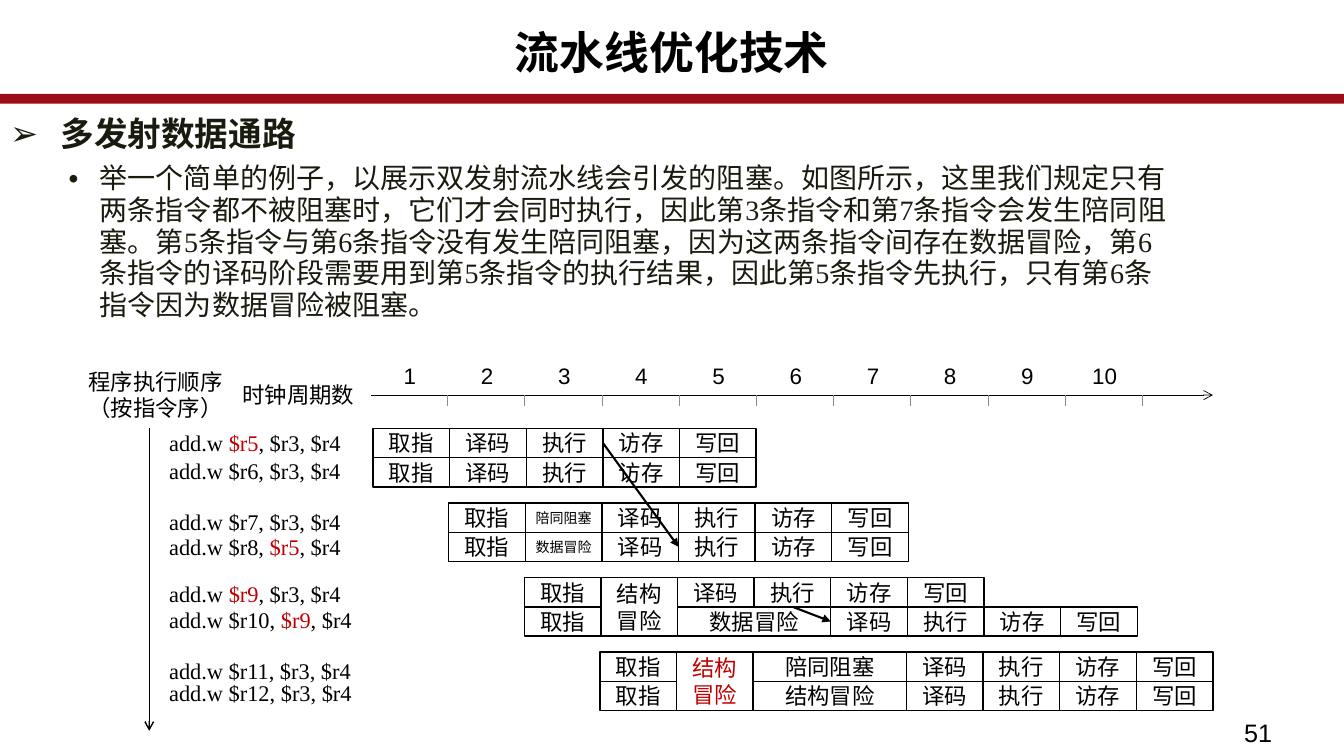
import pptx
import pptx.dml.color
import pptx.enum.shapes
import pptx.enum.text
import pptx.oxml
import pptx.oxml.ns
import pptx.util

BLACK, RED, GREY, DARK, BAR = "000000", "C00000", "8C8D86", "191B0E", "9C0C15"
SANS, SERIF = "Arial", "Times New Roman"
LEFT, CENTER = pptx.enum.text.PP_ALIGN.LEFT, pptx.enum.text.PP_ALIGN.CENTER
TOP, MIDDLE = pptx.enum.text.MSO_ANCHOR.TOP, pptx.enum.text.MSO_ANCHOR.MIDDLE

CYCLE, ROW = 0.76, 0.29
PAIR_LEFT, PAIR_TOP = 3.7, 4.25
PAIR_STEP_X, PAIR_STEP_Y = 0.75, 0.74
AXIS_Y, FIRST_TICK, LAST_TICK, CYCLES = 3.92, 4.44, 11.33, 10

FETCH = "取指"
LATER_STAGES = ("译码", "执行", "访存", "写回")

# Each instruction: label top, label pieces (odd pieces are red), stalls after fetch.
# Each stall: text, columns, rows, size, colour; an empty text leaves the columns free.
INSTRUCTIONS = [
    (4.21, ["add.w ", "$r5", ", $r3, $r4"], []),
    (4.49, ["add.w $r6, $r3, $r4"], []),
    (4.99, ["add.w $r7, $r3, $r4"], [("陪同阻塞", 1, 1, 10, BLACK)]),
    (5.24, ["add.w $r8, ", "$r5", ", $r4"], [("数据冒险", 1, 1, 10, BLACK)]),
    (5.71, ["add.w ", "$r9", ", $r3, $r4"], [("结构冒险", 1, 2, 16, BLACK)]),
    (5.96, ["add.w $r10, ", "$r9", ", $r4"],
     [("", 1, 1, 16, BLACK), ("数据冒险", 2, 1, 16, BLACK)]),
    (6.47, ["add.w $r11, $r3, $r4"],
     [("结构冒险", 1, 2, 16, RED), ("陪同阻塞", 2, 1, 16, BLACK)]),
    (6.69, ["add.w $r12, $r3, $r4"],
     [("", 1, 1, 16, BLACK), ("结构冒险", 2, 1, 16, BLACK)]),
]

TITLE = "流水线优化技术"
HEADING = "多发射数据通路"
EXPLANATION = (
    "举一个简单的例子，以展示双发射流水线会引发的阻塞。如图所示，这里我们规定只有"
    "两条指令都不被阻塞时，它们才会同时执行，因此第3条指令和第7条指令会发生陪同阻塞。"
    "第5条指令与第6条指令没有发生陪同阻塞，因为这两条指令间存在数据冒险，"
    "第6条指令的译码阶段需要用到第5条指令的执行结果，因此第5条指令先执行，"
    "只有第6条指令因为数据冒险被阻塞。"
)


def color(hex_code):
    """Turn a hex string into a colour."""
    return pptx.dml.color.RGBColor.from_string(hex_code)


def inches(*lengths):
    """Turn numbers into lengths in inches."""
    return [pptx.util.Inches(length) for length in lengths]


def format_run(run, size, font=SANS, hex_code=BLACK, bold=False):
    """Set the font of one run."""
    run.font.size = pptx.util.Pt(size)
    run.font.name = font
    run.font.bold = bold
    run.font.color.rgb = color(hex_code)


def add_label(slide, box, pieces, size, font=SANS, align=CENTER, anchor=MIDDLE):
    """Add a text box whose odd pieces are red."""
    frame = slide.shapes.add_textbox(*inches(*box)).text_frame
    frame.word_wrap = True
    frame.vertical_anchor = anchor
    frame.paragraphs[0].alignment = align
    for index, piece in enumerate(pieces):
        run = frame.paragraphs[0].add_run()
        run.text = piece
        format_run(run, size, font, RED if index % 2 else BLACK)


def add_cell(slide, box, text, size=16, hex_code=BLACK):
    """Add one outlined pipeline cell."""
    cell = slide.shapes.add_shape(
        pptx.enum.shapes.MSO_SHAPE.RECTANGLE, *inches(*box))
    cell.shadow.inherit = False
    cell.fill.background()
    cell.line.color.rgb = color(BLACK)
    cell.line.width = pptx.util.Pt(1)
    frame = cell.text_frame
    frame.text = text
    frame.word_wrap = True
    frame.vertical_anchor = MIDDLE
    frame.margin_left = frame.margin_right = pptx.util.Inches(0.08)
    frame.margin_top = frame.margin_bottom = 0
    frame.paragraphs[0].alignment = CENTER
    format_run(frame.paragraphs[0].runs[0], size, SANS, hex_code)
    return cell


def add_line(slide, ends, width, hex_code=BLACK, head=None):
    """Add a straight line with an optional arrowhead at its end."""
    line = slide.shapes.add_connector(
        pptx.enum.shapes.MSO_CONNECTOR.STRAIGHT, *inches(*ends))
    line.line.width = pptx.util.Pt(width)
    line.line.color.rgb = color(hex_code)
    if head:
        tip = pptx.oxml.parse_xml(
            f'<a:tailEnd {pptx.oxml.ns.nsdecls("a")} type="{head}"/>')
        line.line._get_or_add_ln().append(tip)
    line._element.spPr.append(
        pptx.oxml.parse_xml(f'<a:effectLst {pptx.oxml.ns.nsdecls("a")}/>'))
    return line


def add_dependency(slide, source, side, target):
    """Join a side of one cell to the left side of another with an arrow."""
    arrow = add_line(slide, (0, 0, 1, 1), 1.5, head="triangle")
    arrow.begin_connect(source, side)
    arrow.end_connect(target, 1)


def add_instruction(slide, index, label_top, pieces, stalls):
    """Add an instruction's label and cells, and return its cells by stage."""
    add_label(slide, (1.58, label_top, 2.04, 0.37), pieces, 16, SERIF, LEFT, TOP)
    pair, line = divmod(index, 2)
    left = PAIR_LEFT + PAIR_STEP_X * pair
    top = PAIR_TOP + PAIR_STEP_Y * pair + ROW * line
    plan = [(FETCH, 1, 1, 16, BLACK), *stalls,
            *((stage, 1, 1, 16, BLACK) for stage in LATER_STAGES)]
    cells = {}
    for text, columns, rows, size, hex_code in plan:
        if text:
            box = (left, top, CYCLE * columns, ROW * rows)
            cells[text] = add_cell(slide, box, text, size, hex_code)
        left += CYCLE * columns
    return cells


def add_axes(slide):
    """Add the clock axis with its numbered ticks and the program order axis."""
    add_line(slide, (3.68, AXIS_Y, 12.03, AXIS_Y), 0.5, head="arrow")
    add_line(slide, (1.48, PAIR_TOP, 1.48, 7.25), 1, head="arrow")
    add_label(slide, (1.81, 3.68, 2.3, 0.47), ["时钟周期数"], 16)
    add_label(slide, (0.76, 3.68, 1.57, 0.47), ["程序执行顺序（按指令序）"], 16)
    pitch = (LAST_TICK - FIRST_TICK) / (CYCLES - 1)
    for cycle in range(CYCLES):
        tick = FIRST_TICK + pitch * cycle
        add_line(slide, (tick, AXIS_Y + 0.11, tick, AXIS_Y), 0.5, GREY)
        add_label(slide, (tick - 0.82, 3.49, 0.89, 0.47), [str(cycle + 1)], 16)


def place(placeholder, box):
    """Move a placeholder and return its text frame."""
    (placeholder.left, placeholder.top,
     placeholder.width, placeholder.height) = inches(*box)
    frame = placeholder.text_frame
    frame.auto_size = pptx.enum.text.MSO_AUTO_SIZE.NONE
    frame.word_wrap = True
    frame.vertical_anchor = TOP
    return frame


def format_bullet(paragraph, bullet, margin, hanging, before):
    """Give a paragraph its bullet, indent and spacing."""
    properties = paragraph._p.get_or_add_pPr()
    properties.set("marL", str(pptx.util.Inches(margin)))
    properties.set("indent", str(-pptx.util.Inches(hanging)))
    namespace = pptx.oxml.ns.nsdecls("a")
    for mark in (f'<a:buFont {namespace} typeface="{SANS}"/>',
                 f'<a:buChar {namespace} char="{bullet}"/>'):
        properties.append(pptx.oxml.parse_xml(mark))
    paragraph.alignment = LEFT
    paragraph.line_spacing = 0.94
    paragraph.space_before = pptx.util.Pt(before)
    paragraph.space_after = pptx.util.Pt(2)


def add_headings(slide):
    """Add the title, the bar under it and the explanation."""
    bar = slide.shapes.add_shape(
        pptx.enum.shapes.MSO_SHAPE.ROUNDED_RECTANGLE,
        *inches(-0.01, 0.95, 13.34, 0.06))
    bar.shadow.inherit = False
    bar.fill.solid()
    bar.fill.fore_color.rgb = bar.line.color.rgb = color(BAR)
    bar.line.width = pptx.util.Pt(2.75)

    title = place(slide.shapes.title, (0, 0.26, 13.33, 0.75))
    title.text = TITLE
    title.paragraphs[0].alignment = CENTER
    title.paragraphs[0].line_spacing = 0.89
    format_run(title.paragraphs[0].runs[0], 32, bold=True)

    body = place(slide.placeholders[1], (0, 1.1, 11.75, 5.88))
    body.text = f"{HEADING}\n{EXPLANATION}"
    heading, explanation = body.paragraphs
    explanation.level = 1
    format_bullet(heading, "➢", 0.5, 0.5, 0)
    format_bullet(explanation, "•", 0.89, 0.31, 5)
    format_run(heading.runs[0], 24, SANS, DARK, True)
    format_run(explanation.runs[0], 20, SERIF, DARK)


def main():
    """Build the slide and save it."""
    deck = pptx.Presentation()
    deck.slide_width, deck.slide_height = inches(13.33, 7.5)
    slide = deck.slides.add_slide(deck.slide_layouts[1])
    add_headings(slide)
    add_label(slide, (12.24, 7.07, 1.09, 0.44), ["51"], 18, align=LEFT, anchor=TOP)
    add_axes(slide)
    cells = [add_instruction(slide, index, *instruction)
             for index, instruction in enumerate(INSTRUCTIONS)]
    add_dependency(slide, cells[0]["访存"], 1, cells[3]["执行"])
    add_dependency(slide, cells[4]["执行"], 2, cells[5]["译码"])
    deck.save("out.pptx")


if __name__ == "__main__":
    main()
